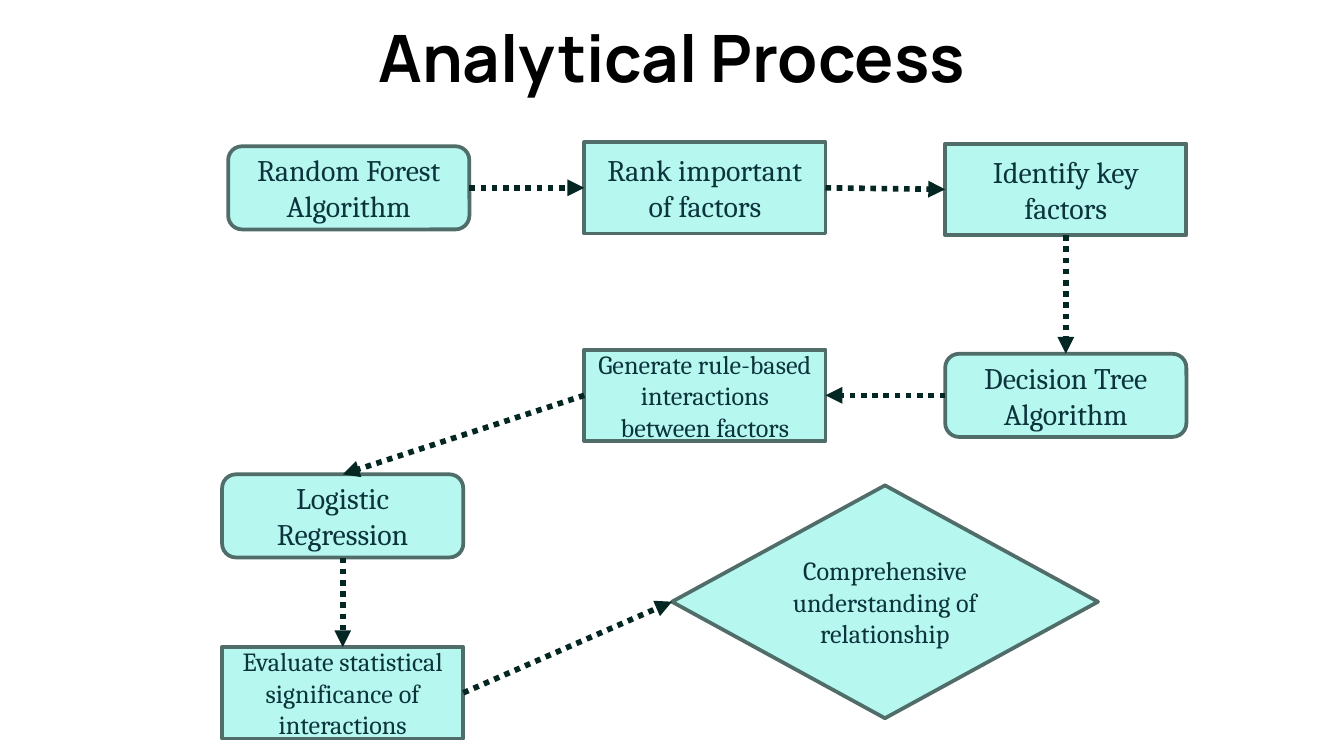
"""Builds the Analytical Process flowchart slide."""
from dataclasses import dataclass

import pptx
import pptx.dml.color
import pptx.enum.dml
import pptx.enum.shapes
import pptx.enum.text
import pptx.oxml
import pptx.oxml.ns
import pptx.util

SHAPES = pptx.enum.shapes.MSO_SHAPE
ANCHOR = pptx.enum.text.MSO_ANCHOR
TOP, LEFT, BOTTOM, RIGHT = range(4)


@dataclass(frozen=True)
class Theme:
    title_font: str = "Manrope"
    body_font: str = "Cambria"
    title_size: int = 35
    large: int = 16
    small: int = 14
    title_ink: str = "000000"
    ink: str = "0C343D"
    fill: str = "B6F8F0"
    outline: str = "506D69"
    arrow: str = "042723"
    outline_width: int = 2
    arrow_width: int = 3


def color(code):
    return pptx.dml.color.RGBColor.from_string(code)


def write(shape, text, *, font, size, ink, bold=False, anchor=ANCHOR.MIDDLE):
    frame = shape.text_frame
    frame.word_wrap = True
    frame.vertical_anchor = anchor
    paragraph = frame.paragraphs[0]
    paragraph.alignment = pptx.enum.text.PP_ALIGN.CENTER
    run = paragraph.add_run()
    run.text = text
    run.font.name = font
    run.font.size = pptx.util.Pt(size)
    run.font.bold = bold
    run.font.color.rgb = color(ink)


class Flowchart:
    """Holds the theme and the slide, and draws each kind of element in percent of the slide."""

    def __init__(self, deck, theme):
        self.theme = theme
        self.width, self.height = deck.slide_width, deck.slide_height
        self.slide = deck.slides.add_slide(deck.slide_layouts[6])

    def frame(self, center, size):
        (x, y), (w, h) = center, size
        return (round(self.width * (x - w / 2) / 100), round(self.height * (y - h / 2) / 100),
                round(self.width * w / 100), round(self.height * h / 100))

    def title(self, text, center, size):
        heading = self.slide.shapes.add_textbox(*self.frame(center, size))
        write(heading, text, font=self.theme.title_font, size=self.theme.title_size,
              ink=self.theme.title_ink, bold=True, anchor=ANCHOR.TOP)

    def step(self, kind, text, center, size, text_size):
        node = self.slide.shapes.add_shape(kind, *self.frame(center, size))
        node.shadow.inherit = False
        node.fill.solid()
        node.fill.fore_color.rgb = color(self.theme.fill)
        node.line.color.rgb = color(self.theme.outline)
        node.line.width = pptx.util.Pt(self.theme.outline_width)
        write(node, text, font=self.theme.body_font, size=text_size, ink=self.theme.ink)
        return node

    def arrow(self, source, source_side, target, target_side):
        link = self.slide.shapes.add_connector(pptx.enum.shapes.MSO_CONNECTOR.STRAIGHT, 0, 0, 0, 0)
        link.begin_connect(source, source_side)
        link.end_connect(target, target_side)
        link.line.color.rgb = color(self.theme.arrow)
        link.line.width = pptx.util.Pt(self.theme.arrow_width)
        link.line.dash_style = pptx.enum.dml.MSO_LINE.ROUND_DOT
        namespace = pptx.oxml.ns.nsdecls("a")
        properties = link._element.spPr
        stroke = properties.find(pptx.oxml.ns.qn("a:ln"))
        stroke.append(pptx.oxml.parse_xml(f'<a:tailEnd {namespace} type="triangle"/>'))
        properties.append(pptx.oxml.parse_xml(f"<a:effectLst {namespace}/>"))


def main():
    deck = pptx.Presentation()
    deck.slide_width = pptx.util.Inches(10)
    deck.slide_height = deck.slide_width * 9 // 16
    theme = Theme()
    chart = Flowchart(deck, theme)

    algorithm = (SHAPES.ROUNDED_RECTANGLE, (17.95, 11))
    action = (SHAPES.RECTANGLE, (17.95, 12.1))
    outcome = (SHAPES.DIAMOND, (31.7, 30.8))
    left, middle, right = 25.5, 52.45, 79.3
    first, second, third, last = 24.85, 52.3, 68.25, 91.65

    steps = {
        "forest": (algorithm, "Random Forest Algorithm", (left + 0.45, first), theme.large),
        "rank": (action, "Rank important of factors", (middle, first), theme.large),
        "key": (action, "Identify key factors", (right, first + 0.2), theme.large),
        "tree": (algorithm, "Decision Tree Algorithm", (right, second), theme.large),
        "rules": (action, "Generate rule-based interactions between factors",
                  (middle, second), theme.small),
        "logistic": (algorithm, "Logistic Regression", (left, third), theme.large),
        "evaluate": (action, "Evaluate statistical significance of interactions",
                     (left, last), theme.small),
        "insight": (outcome, "Comprehensive understanding of relationship",
                    (65.85, 79.6), theme.small),
    }
    nodes = {name: chart.step(kind, text, center, size, text_size)
             for name, ((kind, size), text, center, text_size) in steps.items()}

    flow = [
        ("forest", RIGHT, "rank", LEFT),
        ("rank", RIGHT, "key", LEFT),
        ("key", BOTTOM, "tree", TOP),
        ("tree", LEFT, "rules", RIGHT),
        ("rules", LEFT, "logistic", TOP),
        ("logistic", BOTTOM, "evaluate", TOP),
        ("evaluate", RIGHT, "insight", LEFT),
    ]
    for source, source_side, target, target_side in flow:
        chart.arrow(nodes[source], source_side, nodes[target], target_side)

    chart.title("Analytical Process", (50, 7), (84.3, 11.2))
    deck.save("out.pptx")


if __name__ == "__main__":
    main()
